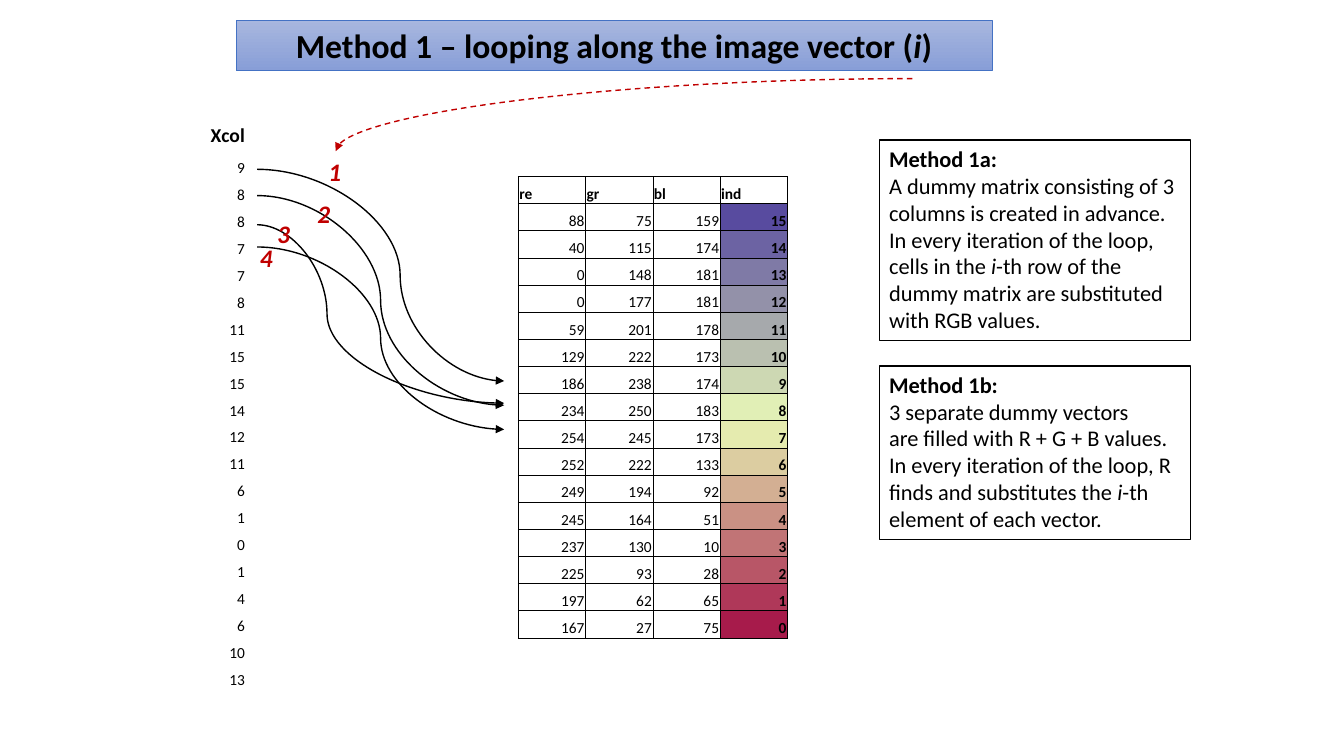
from lxml import etree
from pptx import Presentation
from pptx.dml.color import RGBColor
from pptx.enum import dml, shapes, text
from pptx.oxml import parse_xml
from pptx.oxml.ns import qn
from pptx.util import Inches, Pt

BLACK = RGBColor(0x00, 0x00, 0x00)
WHITE = RGBColor(0xFF, 0xFF, 0xFF)
RED = RGBColor(0xC0, 0x00, 0x00)
BLUE = RGBColor(0x44, 0x72, 0xC4)
TITLE_STOPS = RGBColor(0xA8, 0xB7, 0xDF), RGBColor(0x88, 0x9E, 0xD7)
NO_STYLE = "{2D5ABB26-0587-4C30-8999-92F81FD0307C}"
BORDER = ('<a:{} xmlns:a="http://schemas.openxmlformats.org/drawingml/2006/main" w="6350">'
          '<a:solidFill><a:srgbClr val="000000"/></a:solidFill></a:{}>')

# Text between asterisks is italic
TITLE = "Method 1 – looping along the image vector (*i*)"
XCOL = [9, 8, 8, 7, 7, 8, 11, 15, 15, 14, 12, 11, 6, 1, 0, 1, 4, 6, 10, 13]
HEADER = ["re", "gr", "bl", "ind"]
PALETTE = [  # red, green, blue, swatch colour; the index counts down to 0
    (88, 75, 159, "584B9F"), (40, 115, 174, "6C63A3"),
    (0, 148, 181, "7F7AA6"), (0, 177, 181, "9391A9"),
    (59, 201, 178, "A6A9AC"), (129, 222, 173, "BAC0B0"),
    (186, 238, 174, "CDD8B3"), (234, 250, 183, "E1EFB6"),
    (254, 245, 173, "E5EBAF"), (252, 222, 133, "DCCDA1"),
    (249, 194, 92, "D3AF93"), (245, 164, 51, "CA9184"),
    (237, 130, 10, "C17476"), (225, 93, 28, "B85667"),
    (197, 62, 65, "AF3859"), (167, 27, 75, "A71B4B"),
]
METHODS = [  # top, height, heading, body
    (1.39, 1.99, "Method 1a:",
     "A dummy matrix consisting of 3 columns is created in advance. \v"
     "In every iteration of the loop, cells in the *i*-th row of the "
     "dummy matrix are substituted with RGB values."),
    (3.63, 1.72, "Method 1b:",
     "3 separate dummy vectors \vare filled with R + G + B values. \v"
     "In every iteration of the loop, R finds and substitutes the "
     "*i*-th element of each vector."),
]
LOOKUPS = [  # start y, end y, bend as a share of the width
    (1.68, 3.78, 0.579), (1.94, 4.02, 0.5), (2.23, 4.0, 0.283), (2.45, 4.26, 0.5)]
STEPS = [("1", 3.16, 1.5), ("2", 3.05, 1.92), ("3", 2.65, 2.12), ("4", 2.48, 2.35)]


def write(p, content, size, bold=False, color=BLACK, align=text.PP_ALIGN.LEFT):
    """Fill a paragraph, setting parts between asterisks in italics."""
    p.alignment = align
    p.font.name, p.font.size, p.font.bold = "Calibri", Pt(size), bold
    p.font.color.rgb = color
    for i, part in enumerate(content.split("*")):
        for j, line in enumerate(part.split("\v")):
            if j:
                p.add_line_break()
            r = p.add_run()
            r.text = line
            if i % 2:
                r.font.italic = True


def add_label(slide, content, box, size, color=BLACK):
    """Add a bold one-line text box."""
    tf = slide.shapes.add_textbox(*map(Inches, box)).text_frame
    tf.word_wrap = True
    write(tf.paragraphs[0], content, size, True, color)


def add_grid(slide, rows, box):
    """Add a plain table with equal rows and columns."""
    left, top, width, height = map(Inches, box)
    frame = slide.shapes.add_table(len(rows), len(rows[0]), left, top, width, height)
    table = frame.table
    table.first_row = table.horz_banding = False
    table._tbl.tblPr.find(qn("a:tableStyleId")).text = NO_STYLE
    for row, values in zip(table.rows, rows):
        row.height = height // len(rows)
        for cell, value in zip(row.cells, values):
            cell.margin_left = cell.margin_right = cell.margin_top = Inches(0.01)
            cell.margin_bottom = 0
            cell.vertical_anchor = text.MSO_ANCHOR.BOTTOM
            header = value in HEADER
            bold = header or (len(values) > 1 and cell is not None and value is values[-1])
            align = text.PP_ALIGN.LEFT if header else text.PP_ALIGN.RIGHT
            write(cell.text_frame.paragraphs[0], value, 11, bold, align=align)
            cell.fill.background()
    return table


def add_borders(cell):
    """Draw a thin black line on every side of a cell."""
    tcPr = cell._tc.get_or_add_tcPr()
    for i, side in enumerate(("lnL", "lnR", "lnT", "lnB")):
        tcPr.insert(i, parse_xml(BORDER.format(side, side)))


def add_curve(slide, start, end, color=BLACK, bend=None):
    """Add a curved arrow; without a bend it makes a single quarter turn."""
    c = slide.shapes.add_connector(
        shapes.MSO_CONNECTOR.CURVE, *map(Inches, start + end))
    c.line.color.rgb, c.line.width = color, Pt(1)
    spPr = c._element.spPr
    geom = spPr.find(qn("a:prstGeom"))
    if bend is None:
        geom.set("prst", "curvedConnector2")
        c.line.dash_style = dml.MSO_LINE.DASH
    else:
        guides = geom.get_or_add_avLst()
        etree.SubElement(guides, qn("a:gd"), name="adj1", fmla=f"val {round(bend * 100000)}")
    etree.SubElement(c.line._get_or_add_ln(), qn("a:tailEnd"), type="triangle")
    etree.SubElement(spPr, qn("a:effectLst"))


def add_title(slide):
    """Place the title on a blue gradient bar."""
    sp = slide.shapes.title
    sp.left, sp.top, sp.width, sp.height = map(Inches, (2.34, 0.2, 7.5, 0.5))
    sp.fill.gradient()
    sp.fill.gradient_angle = 270
    for stop, color in zip(sp.fill.gradient_stops, TITLE_STOPS):
        stop.color.rgb = color
    sp.line.color.rgb, sp.line.width = BLUE, Pt(0.5)
    sp.text_frame.auto_size = text.MSO_AUTO_SIZE.NONE
    write(sp.text_frame.paragraphs[0], TITLE, 24, True, align=text.PP_ALIGN.CENTER)


def add_method(slide, top, height, heading, body):
    """Add a framed description of one method."""
    sp = slide.shapes.add_shape(
        shapes.MSO_SHAPE.RECTANGLE, *map(Inches, (8.72, top, 3.09, height)))
    sp.shadow.inherit = False
    sp.fill.solid()
    sp.fill.fore_color.rgb = WHITE
    sp.line.color.rgb, sp.line.width = BLACK, Pt(1)
    tf = sp.text_frame
    tf.word_wrap, tf.vertical_anchor = True, text.MSO_ANCHOR.TOP
    write(tf.paragraphs[0], heading, 16, True)
    write(tf.add_paragraph(), body, 16)


prs = Presentation()
prs.slide_width, prs.slide_height = Inches(13.33), Inches(7.5)
slide = prs.slides.add_slide(prs.slide_layouts[5])
add_title(slide)

add_label(slide, "Xcol", (1.99, 1.17, 0.8, 0.34), 14)
add_grid(slide, [[str(x)] for x in XCOL], (2, 1.5, 0.44, 5.34))

palette_rows = [[str(v) for v in (*rgb, len(PALETTE) - 1 - i)]
                for i, (*rgb, _) in enumerate(PALETTE)]
palette = add_grid(slide, [HEADER] + palette_rows, (5.14, 1.75, 2.67, 4.58))
for cell in palette.iter_cells():
    add_borders(cell)
for i, (*_, swatch) in enumerate(PALETTE, start=1):
    fill = palette.cell(i, 3).fill
    fill.solid()
    fill.fore_color.rgb = RGBColor.from_string(swatch)

for start_y, end_y, bend in LOOKUPS:
    add_curve(slide, (2.55, start_y), (5, end_y), bend=bend)
for number, left, top in STEPS:
    add_label(slide, f"*{number}*", (left, top, 0.33, 0.4), 18, RED)
add_curve(slide, (9.05, 0.78), (3.33, 1.5), RED)

for method in METHODS:
    add_method(slide, *method)

prs.save("out.pptx")
